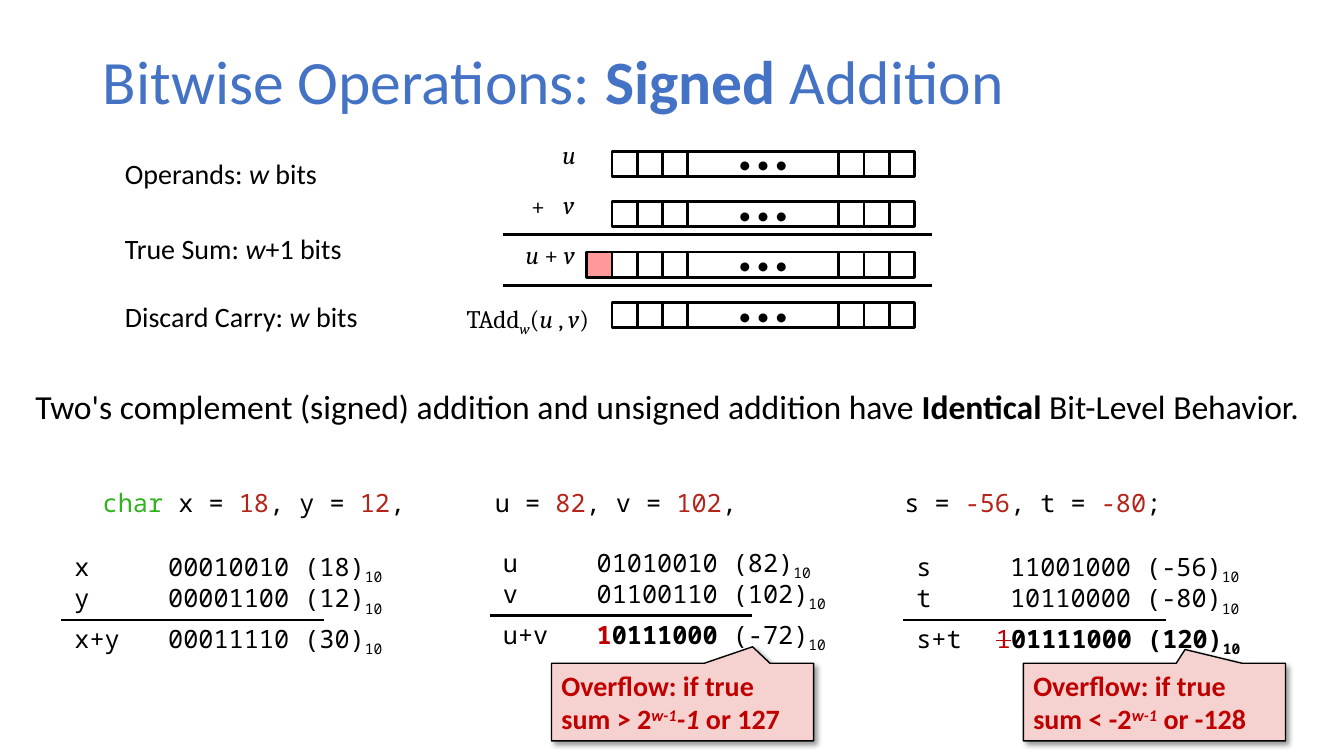
from dataclasses import dataclass
from typing import Optional

from lxml import etree
from pptx import Presentation
from pptx import util as u
from pptx.dml.color import RGBColor
from pptx.enum import shapes, text
from pptx.oxml import ns


@dataclass(frozen=True)
class Theme:
    sans: str = "Calibri"
    serif: str = "Cambria"
    mono: str = "Noto Sans Mono"
    black: str = "000000"
    white: str = "FFFFFF"
    title: str = "4472C4"
    carry: str = "FF9999"
    alert: str = "C00000"
    alert_fill: str = "F5D1CF"
    keyword: str = "2FB41D"
    number: str = "B42419"
    title_size: int = 44
    body_size: int = 24
    note_size: int = 20
    small_size: int = 18


THEME = Theme()


@dataclass(frozen=True)
class Span:
    text: str
    bold: Optional[bool] = None
    italic: Optional[bool] = None
    color: Optional[str] = None
    baseline: int = 0
    strike: bool = False


@dataclass(frozen=True)
class Label:
    left: float
    top: float
    width: float
    spans: list
    font: str = THEME.serif
    size: int = THEME.small_size
    align: text.PP_ALIGN = text.PP_ALIGN.LEFT


@dataclass(frozen=True)
class Row:
    name: str
    spans: list
    shift: float = 0


@dataclass(frozen=True)
class Example:
    left: float
    top: float
    rows: list


@dataclass(frozen=True)
class Callout:
    left: float
    tip: tuple
    spans: list


def write(para, spans: list, font: str, size: int, color: str = THEME.black,
          align: text.PP_ALIGN = text.PP_ALIGN.LEFT) -> None:
    para.alignment = align
    para.font.name = font
    para.font.size = u.Pt(size)
    para.font.color.rgb = RGBColor.from_string(color)
    for item in spans:
        span = para.add_run()
        span.text = item.text
        span.font.bold = item.bold
        span.font.italic = item.italic
        if item.color:
            span.font.color.rgb = RGBColor.from_string(item.color)
        if item.baseline:
            span.font._element.set("baseline", str(item.baseline * 1000))
        if item.strike:
            span.font._element.set("strike", "sngStrike")


def place(shape, left: float, top: float, width: float, height: float) -> None:
    shape.left, shape.top = u.Inches(left), u.Inches(top)
    shape.width, shape.height = u.Inches(width), u.Inches(height)


def add_label(page, label: Label, height: float = 0.4) -> None:
    box = page.shapes.add_textbox(u.Inches(label.left), u.Inches(label.top),
                                  u.Inches(label.width), u.Inches(height))
    box.text_frame.word_wrap = False
    box.text_frame.auto_size = text.MSO_AUTO_SIZE.SHAPE_TO_FIT_TEXT
    write(box.text_frame.paragraphs[0], label.spans, label.font, label.size, align=label.align)


def add_rule(page, left: float, top: float, width: float) -> None:
    rule = page.shapes.add_connector(shapes.MSO_CONNECTOR.STRAIGHT, u.Inches(left), u.Inches(top),
                                     u.Inches(left + width), u.Inches(top))
    rule.line.color.rgb = RGBColor.from_string(THEME.black)
    rule.line.width = u.Pt(2)
    etree.SubElement(rule._element.spPr, ns.qn("a:effectLst"))


def add_block(parent, kind: shapes.MSO_SHAPE, left: float, top: float, width: float,
              height: float, fill: str, weight: float):
    block = parent.shapes.add_shape(kind, u.Inches(left), u.Inches(top),
                                    u.Inches(width), u.Inches(height))
    block.shadow.inherit = False
    block.fill.solid()
    block.fill.fore_color.rgb = RGBColor.from_string(fill)
    block.line.color.rgb = RGBColor.from_string(THEME.black)
    block.line.width = u.Pt(weight)
    return block


def add_bits(page, top: float, carry: bool) -> None:
    group = page.shapes.add_group_shape()
    first, bit = 6.07, 0.25
    for column in (0, 1, 2, 9, 10, 11):
        add_block(group, shapes.MSO_SHAPE.RECTANGLE, first + column * bit, top, bit, bit, THEME.white, 2)
    middle = add_block(group, shapes.MSO_SHAPE.RECTANGLE, first + 3 * bit, top, 6 * bit, bit, THEME.white, 2)
    middle.text_frame.word_wrap = False
    middle.text_frame.vertical_anchor = text.MSO_ANCHOR.MIDDLE
    write(middle.text_frame.paragraphs[0], [Span("• • •")], THEME.sans, THEME.small_size,
          align=text.PP_ALIGN.CENTER)
    if carry:
        add_block(group, shapes.MSO_SHAPE.RECTANGLE, first - bit, top, bit, bit, THEME.carry, 2)


def add_example(page, example: Example) -> None:
    for row, offset in zip(example.rows, (0, 0.31, 0.71)):
        digits = sum(len(item.text) for item in row.spans[:-1])
        top = example.top + offset
        add_label(page, Label(example.left, top, 0.2 + 0.15 * len(row.name), [Span(row.name)], THEME.mono))
        add_label(page, Label(example.left + 0.93 + row.shift, top, 0.44 + 0.15 * digits,
                              row.spans, THEME.mono))
    add_rule(page, example.left - 0.03, example.top + 0.73, 2.6)


def add_callout(page, callout: Callout) -> None:
    block = add_block(page, shapes.MSO_SHAPE.RECTANGULAR_CALLOUT, callout.left, 6.58, 2.6, 0.77,
                      THEME.alert_fill, 1)
    block.adjustments[0], block.adjustments[1] = callout.tip
    effects = block._element.spPr.find(ns.qn("a:effectLst"))
    shadow = etree.SubElement(effects, ns.qn("a:outerShdw"), blurRad=str(u.Pt(4)),
                              dist=str(u.Pt(3)), dir=str(45 * 60000))
    tint = etree.SubElement(shadow, ns.qn("a:srgbClr"), val=THEME.black)
    etree.SubElement(tint, ns.qn("a:alpha"), val="40000")
    block.text_frame.word_wrap = True
    block.text_frame.vertical_anchor = text.MSO_ANCHOR.TOP
    write(block.text_frame.paragraphs[0], callout.spans, THEME.sans, THEME.note_size, THEME.alert)


def add_tabs(para, stops: tuple) -> None:
    tabs = etree.SubElement(para._p.get_or_add_pPr(), ns.qn("a:tabLst"))
    for stop in stops:
        etree.SubElement(tabs, ns.qn("a:tab"), pos=str(u.Inches(stop)), algn="l")


def italic(word: str) -> Span:
    return Span(word, italic=True)


def value(digits: str) -> list:
    return [Span(digits), Span("10", baseline=-25)]


def number(digits: str) -> Span:
    return Span(digits, color=THEME.number)


LABELS = [
    Label(5.48, 1.33, 0.33, [italic("u")]),
    Label(5.49, 1.83, 0.31, [italic("v")]),
    Label(5.17, 1.84, 0.39, [Span("+")]),
    Label(5.1, 2.33, 0.7, [italic("u "), Span("+ "), italic("v")], align=text.PP_ALIGN.RIGHT),
    Label(4.46, 2.96, 1.48, [Span("TAdd"), Span("w", italic=True, baseline=-25), Span("("), italic("u"),
                             Span(" , "), italic("v"), Span(")")], align=text.PP_ALIGN.RIGHT),
]
STEPS = [
    Label(1.14, 1.5, 2.13, [Span("Operands: "), italic("w"), Span(" bits")], THEME.sans, THEME.note_size),
    Label(1.14, 2.25, 2.37, [Span("True Sum: "), italic("w"), Span("+1 bits")], THEME.sans, THEME.note_size),
    Label(1.14, 2.92, 2.53, [Span("Discard Carry: "), italic("w"), Span(" bits")], THEME.sans, THEME.note_size),
]
EXAMPLES = [
    Example(0.64, 5.42, [Row("x", value("00010010 (18)")), Row("y", value("00001100 (12)")),
                         Row("x+y", value("00011110 (30)"))]),
    Example(4.89, 5.38, [Row("u", value("01010010 (82)")), Row("v", value("01100110 (102)")),
                         Row("u+v", [Span("1", bold=True, color=THEME.alert), Span("0111000", bold=True),
                                     *value(" (-72)")])]),
    Example(8.99, 5.42, [Row("s", value("11001000 (-56)")), Row("t", value("10110000 (-80)")),
                         Row("s+t", [Span("1", color=THEME.alert, strike=True),
                                     Span("01111000 (120)", bold=True),
                                     Span("10", bold=True, baseline=-25)], -0.14)]),
]
POWER = Span("w-1", bold=True, italic=True, baseline=30)
CALLOUTS = [
    Callout(5.47, (0.267, -0.712), [Span("Overflow: if true sum > 2", bold=True), POWER,
                                    Span("-1", bold=True, italic=True), Span(" or 127", bold=True)]),
    Callout(10.15, (0.117, -0.677), [Span("Overflow: if true sum < -2", bold=True), POWER,
                                     Span(" or -128", bold=True)]),
]
CODE = [Span("char", color=THEME.keyword), Span(" x = "), number("18"), Span(", y = "), number("12"),
        Span(",\tu = "), number("82"), Span(", v = "), number("102"),
        Span(",\ts = "), number("-56"), Span(", t = "), number("-80"), Span(";")]


def main() -> None:
    deck = Presentation()
    deck.slide_width, deck.slide_height = u.Inches(13.33), u.Inches(7.5)
    page = deck.slides.add_slide(deck.slide_layouts[1])
    title, body = page.shapes.title, page.placeholders[1]
    place(title, 0.92, 0.4, 11.5, 0.87)
    place(body, 0.25, 3.82, 12.89, 0.53)
    for holder in (title, body):
        holder.text_frame.auto_size = text.MSO_AUTO_SIZE.NONE
        holder.text_frame.paragraphs[0].line_spacing = 0.9
    title.text_frame.vertical_anchor = text.MSO_ANCHOR.MIDDLE
    write(title.text_frame.paragraphs[0], [Span("Bitwise Operations: "), Span("Signed", bold=True),
                                           Span(" Addition")], THEME.sans, THEME.title_size, THEME.title)
    claim = body.text_frame.paragraphs[0]
    claim.space_before = u.Pt(0)
    layout = claim._p.get_or_add_pPr()
    layout.set("marL", "0")
    layout.set("indent", "0")
    etree.SubElement(layout, ns.qn("a:buNone"))
    write(claim, [Span("Two's complement (signed) addition and unsigned addition have "),
                  Span("Identical", bold=True), Span(" Bit-Level Behavior.")], THEME.sans, THEME.body_size)

    for index in range(4):
        add_bits(page, 1.5 + 0.5 * index, carry=index == 2)
    for top in (2.33, 2.83):
        add_rule(page, 4.99, top, 4.25)
    for label in LABELS:
        add_label(page, label)
    for step in STEPS:
        add_label(page, step, 0.44)

    code = page.shapes.add_textbox(u.Inches(0.92), u.Inches(4.79), u.Inches(11.55), u.Inches(0.4))
    code.text_frame.word_wrap = True
    add_tabs(code.text_frame.paragraphs[0], (3.89, 7.95))
    write(code.text_frame.paragraphs[0], CODE, THEME.mono, THEME.small_size)
    for example in EXAMPLES:
        add_example(page, example)
    for callout in CALLOUTS:
        add_callout(page, callout)
    deck.save("out.pptx")


if __name__ == "__main__":
    main()
